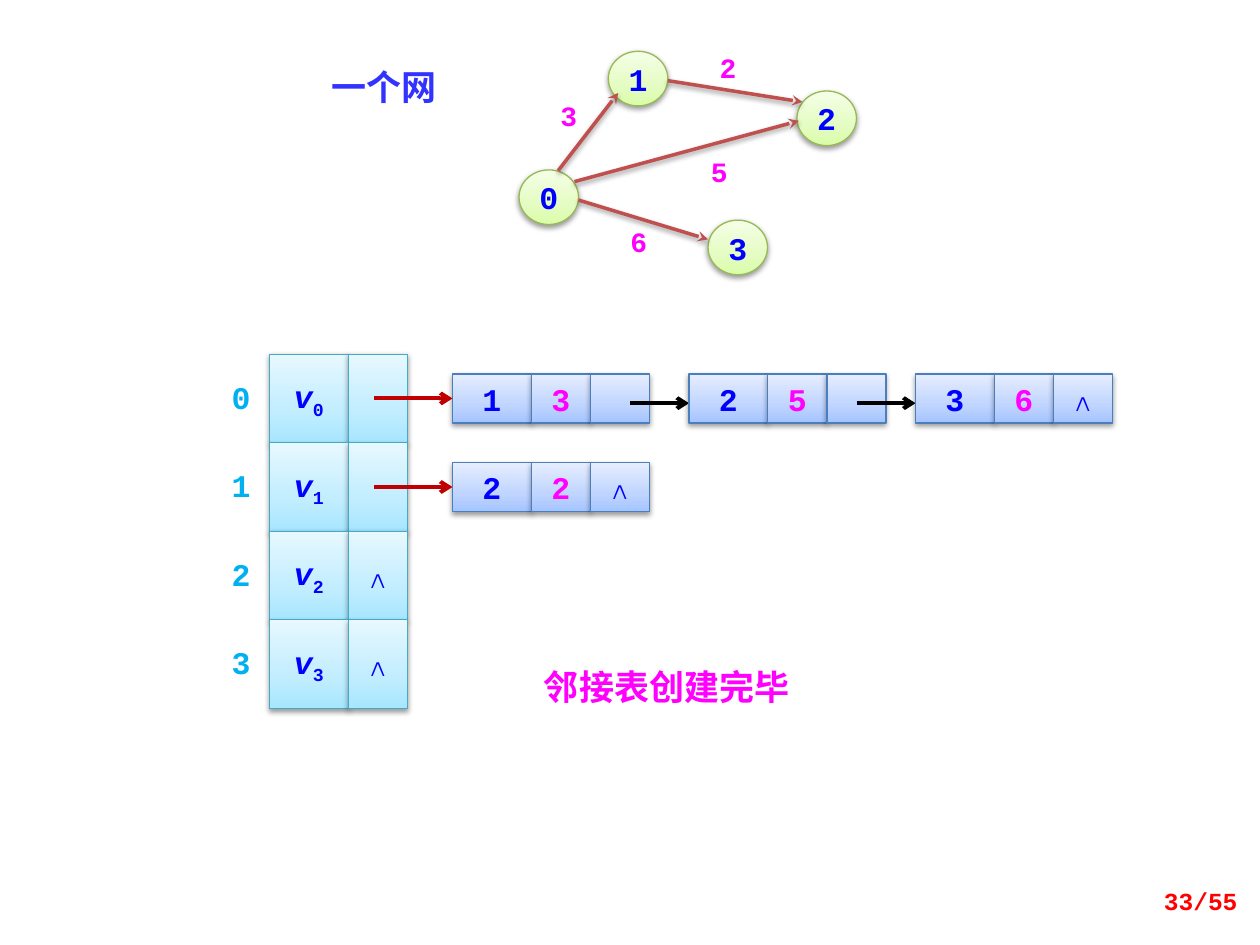
from lxml import etree
from pptx import Presentation
from pptx.dml.color import RGBColor
from pptx.enum.shapes import MSO_CONNECTOR, MSO_SHAPE
from pptx.enum.text import MSO_ANCHOR, PP_ALIGN
from pptx.oxml.ns import qn
from pptx.util import Pt

RECTANGLE, OVAL = MSO_SHAPE.RECTANGLE, MSO_SHAPE.OVAL
STRAIGHT = MSO_CONNECTOR.STRAIGHT
TOP, MIDDLE = MSO_ANCHOR.TOP, MSO_ANCHOR.MIDDLE
LEFT, CENTER, RIGHT = PP_ALIGN.LEFT, PP_ALIGN.CENTER, PP_ALIGN.RIGHT

CODE_FONT, CHINESE_FONT = "Courier New", "Noto Sans CJK SC"
BLUE, MAGENTA, RED = "0000FF", "FF00FF", "C00000"
NIL = "∧"

# Gradient colours at 0, 35 and 100 %, then the outline colour
VERTEX_STYLE = (("A7E6FF", "C1EDFF", "E7F8FF"), "46AAC5")
LIST_STYLE = (("A4C4FF", "BFD4FF", "E6EEFF"), "4B7EBC")
GRAPH_STYLE = (("DAFDA7", "E4FCC2", "F5FFE7"), "98B955")

ROW_TOP, ROW_HEIGHT = 202.4, 50.6
VERTEX_LEFT, DATA_WIDTH, LINK_WIDTH = 154, 45, 33.75
LIST_LEFTS = (258.6, 393.75, 523.2)
LIST_HEIGHT = 28.1

GRAPH_NODES = {"1": (347.6, 29.3), "2": (455.4, 52), "0": (296.6, 97.1), "3": (404.6, 125.8)}
GRAPH_EDGES = [
    ((319, 97.5), (353.3, 53.1)),
    ((330.5, 114.3), (404.6, 136.8)),
    ((328.3, 103.8), (456.5, 69.1)),
    ((381.6, 46.1), (458.6, 58.3)),
]
EDGE_WEIGHTS = [("2", 399, 28.8), ("3", 308, 56.2), ("5", 394, 88.6), ("6", 348, 128.2)]
ADJACENCY = [[("1", "3"), ("2", "5"), ("3", "6")], [("2", "2")], [], []]


def rgb(color):
    return RGBColor.from_string(color)


def add_run(para, text, size, color, bold=True, font=CODE_FONT):
    span = para.add_run()
    span.text = text
    span.font.size = Pt(size)
    span.font.bold = bold
    span.font.name = font
    span.font.color.rgb = rgb(color)
    return span


def add_shadow(properties):
    """Put a soft shadow below a shape or a line."""
    effects = properties.find(qn("a:effectLst"))
    shadow = etree.SubElement(effects, qn("a:outerShdw"), blurRad=str(Pt(3.1)),
                              dist=str(Pt(1.6)), dir="5400000", rotWithShape="0")
    black = etree.SubElement(shadow, qn("a:srgbClr"), val="000000")
    etree.SubElement(black, qn("a:alpha"), val="38000")


def add_cell(page, kind, left, top, width, height, style, text="", color=BLUE):
    """Add a shaded shape and return it with its paragraph."""
    shades, outline = style
    cell = page.shapes.add_shape(kind, Pt(left), Pt(top), Pt(width), Pt(height))
    cell.fill.gradient()
    cell.fill.gradient_angle = 90
    properties = cell.element.spPr
    stops = properties.find(".//" + qn("a:gsLst"))
    for stop in list(stops):
        stops.remove(stop)
    for position, shade in zip((0, 35000, 100000), shades):
        stop = etree.SubElement(stops, qn("a:gs"), pos=str(position))
        etree.SubElement(stop, qn("a:srgbClr"), val=shade)
    cell.line.color.rgb = rgb(outline)
    cell.line.width = Pt(0.75)
    cell.shadow.inherit = False
    add_shadow(properties)
    frame = cell.text_frame
    frame.word_wrap = False
    frame.vertical_anchor = MIDDLE
    para = frame.paragraphs[0]
    para.alignment = CENTER
    if text:
        add_run(para, text, 18, color)
    return cell, para


def add_label(page, text, left, top, width, height, size, color,
              align=CENTER, anchor=TOP, inset=True, font=CODE_FONT):
    box = page.shapes.add_textbox(Pt(left), Pt(top), Pt(width), Pt(height))
    frame = box.text_frame
    frame.word_wrap = True
    frame.vertical_anchor = anchor
    if not inset:
        frame.margin_left = frame.margin_right = 0
        frame.margin_top = frame.margin_bottom = 0
    para = frame.paragraphs[0]
    para.alignment = align
    span = add_run(para, text, size, color, font=font)
    if font == CHINESE_FONT:
        etree.SubElement(span.font._element, qn("a:ea"), typeface=font)
    return box


def add_arrow(page, start, end, color, width, head):
    line = page.shapes.add_connector(STRAIGHT, *(Pt(value) for value in start + end))
    line.line.color.rgb = rgb(color)
    line.line.width = Pt(width)
    etree.SubElement(line.line._get_or_add_ln(), qn("a:tailEnd"), type=head)
    etree.SubElement(line.element.spPr, qn("a:effectLst"))
    return line


def add_graph(page):
    for name, (left, top) in GRAPH_NODES.items():
        add_cell(page, OVAL, left, top, 34, 31.2, GRAPH_STYLE, name)
    for start, end in GRAPH_EDGES:
        edge = add_arrow(page, start, end, "C0504D", 2, "stealth")
        add_shadow(edge.element.spPr)
    for weight, left, top in EDGE_WEIGHTS:
        add_label(page, weight, left, top, 34, 19.4, 16, MAGENTA, inset=False)


def add_vertex(page, index, top, has_edges):
    para = add_cell(page, RECTANGLE, VERTEX_LEFT, top, DATA_WIDTH, ROW_HEIGHT, VERTEX_STYLE)[1]
    add_run(para, "v", 18, BLUE).font.italic = True
    subscript = add_run(para, str(index), 18, BLUE)
    subscript.font._element.set("baseline", "-25000")
    add_cell(page, RECTANGLE, VERTEX_LEFT + DATA_WIDTH, top, LINK_WIDTH, ROW_HEIGHT,
             VERTEX_STYLE, "" if has_edges else NIL)
    add_label(page, str(index), 123.8, top + 13.5, 28, 21.8, 18, "00B0F0", inset=False)


def add_edge_list(page, row_top, edges):
    """Add the linked nodes of one vertex, each with target, weight and link."""
    top = row_top + (ROW_HEIGHT - LIST_HEIGHT) / 2
    for number, (left, (target, weight)) in enumerate(zip(LIST_LEFTS, edges)):
        is_last = number == len(edges) - 1
        weight_left = left + DATA_WIDTH
        link_left = weight_left + LINK_WIDTH
        first = add_cell(page, RECTANGLE, left, top, DATA_WIDTH, LIST_HEIGHT, LIST_STYLE, target)[0]
        add_cell(page, RECTANGLE, weight_left, top, LINK_WIDTH, LIST_HEIGHT,
                 LIST_STYLE, weight, MAGENTA)
        add_cell(page, RECTANGLE, link_left, top, LINK_WIDTH, LIST_HEIGHT,
                 LIST_STYLE, NIL if is_last else "")
        if number == 0:
            middle = row_top + ROW_HEIGHT / 2
            arrow = add_arrow(page, (213.8, middle), (left, middle), RED, 2.25, "arrow")
            arrow.end_connect(first, 1)
        if not is_last:
            next_left = LIST_LEFTS[number + 1]
            add_arrow(page, (next_left - LINK_WIDTH, row_top + 28),
                      (next_left, row_top + 28), "000000", 2.25, "arrow")


def main():
    deck = Presentation()
    deck.slide_width, deck.slide_height = Pt(720), Pt(540)
    page = deck.slides.add_slide(deck.slide_layouts[6])

    add_graph(page)
    add_label(page, "一个网", 168.8, 33.8, 101, 31.5, 20, "3333FF", font=CHINESE_FONT)
    row_tops = [ROW_TOP + index * ROW_HEIGHT for index in range(len(ADJACENCY))]
    for index, (top, edges) in enumerate(zip(row_tops, ADJACENCY)):
        add_vertex(page, index, top, bool(edges))
    for top, edges in zip(row_tops, ADJACENCY):
        add_edge_list(page, top, edges)
    caption = add_label(page, "邻接表创建完毕", 303.8, 376.5, 225, 31.5, 20, MAGENTA,
                        align=LEFT, font=CHINESE_FONT)
    caption.fill.solid()
    caption.fill.fore_color.rgb = rgb("FFFFFF")
    add_label(page, "33/55", 546.5, 500.4, 167.8, 28.8, 14, "FF0000", align=RIGHT, anchor=MIDDLE)

    deck.save("out.pptx")


if __name__ == "__main__":
    main()
